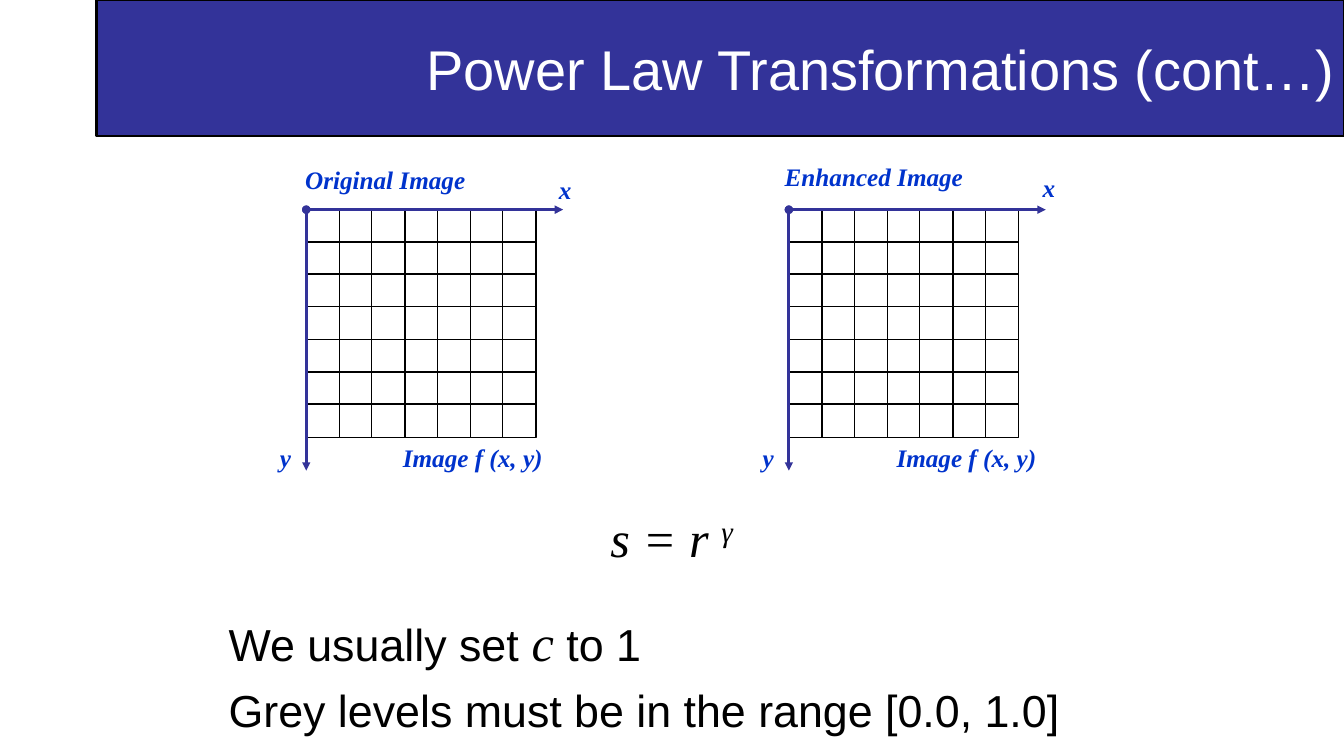
from lxml import etree
from pptx import Presentation
from pptx import util as u
from pptx.dml.color import RGBColor
from pptx.enum import shapes, text
from pptx.oxml import ns

EMU_PER_PX = 9144
SANS, SERIF = "Arial", "Times New Roman"
BLACK, WHITE, INDIGO, BLUE = "000000", "FFFFFF", "333399", "0033CC"


def px(length):
    return u.Emu(length * EMU_PER_PX)


def colour(value):
    return RGBColor.from_string(value)


class SlideBuilder:
    cells = 7
    cell_size = 33
    grid_width, grid_height = 228, 225
    axis_x, axis_y = 255, 259

    def __init__(self, deck):
        self.page = deck.slides.add_slide(deck.slide_layouts[5])

    def paint(self, shape, fill, line, weight):
        shape.fill.solid()
        shape.fill.fore_color.rgb = colour(fill)
        shape.line.color.rgb = colour(line)
        shape.line.width = u.Pt(weight)

    def span(self, para, words, size, font=SANS, ink=BLACK, bold=False, italic=False, raised=0):
        """Add one run; raised is the superscript shift in percent."""
        span = para.add_run()
        span.text = words
        span.font.size, span.font.name = u.Pt(size), font
        span.font.bold, span.font.italic = bold, italic
        span.font.color.rgb = colour(ink)
        if raised:
            span._r.get_or_add_rPr().set("baseline", str(raised * 1000))

    def title(self, words, left, top, width, height):
        box = self.page.shapes.title
        box.left, box.top, box.width, box.height = map(px, (left, top, width, height))
        self.paint(box, INDIGO, BLACK, 2)
        box.text_frame.vertical_anchor = text.MSO_ANCHOR.MIDDLE
        para = box.text_frame.paragraphs[0]
        para.alignment = text.PP_ALIGN.RIGHT
        self.span(para, words, 40, ink=WHITE)

    def text_box(self, left, top, width, height, wrap=False, parent=None):
        """Add a text box; one that does not wrap grows with its text."""
        box = (parent or self.page).shapes.add_textbox(*map(px, (left, top, width, height)))
        frame = box.text_frame
        frame.word_wrap = wrap
        if not wrap:
            frame.auto_size = text.MSO_AUTO_SIZE.SHAPE_TO_FIT_TEXT
        return frame

    def label(self, group, words, left, top, width):
        frame = self.text_box(left, top, width, 40, parent=group)
        self.span(frame.paragraphs[0], words, 18, SERIF, BLUE, bold=True, italic=True)

    def cell(self, group, left, top):
        cell = group.shapes.add_shape(
            shapes.MSO_SHAPE.RECTANGLE, *map(px, (left, top, self.cell_size, self.cell_size)))
        cell.shadow.inherit = False
        self.paint(cell, WHITE, BLACK, 1)

    def axis(self, group, left, top, right, bottom):
        axis = group.shapes.add_connector(
            shapes.MSO_CONNECTOR.STRAIGHT, *map(px, (left, top, right, bottom)))
        axis.line.color.rgb = colour(INDIGO)
        axis.line.width = u.Pt(2)
        outline = axis.line._get_or_add_ln()
        for end, kind in (("headEnd", "oval"), ("tailEnd", "triangle")):
            etree.SubElement(outline, ns.qn(f"a:{end}"), type=kind)
        etree.SubElement(axis._element.spPr, ns.qn("a:effectLst"))

    def pixel_grid(self, left, top, labels):
        """Draw a grid with its axes; labels are (words, left, top, width)."""
        group = self.page.shapes.add_group_shape()
        for row in range(self.cells):
            for column in range(self.cells):
                self.cell(group, left + round(column * self.grid_width / self.cells),
                          top + round(row * self.grid_height / self.cells))
        self.axis(group, left, top, left + self.axis_x, top)
        self.axis(group, left, top, left, top + self.axis_y)
        for label in labels:
            self.label(group, *label)


def main():
    deck = Presentation()
    deck.slide_width, deck.slide_height = px(1334), px(750)
    slide = SlideBuilder(deck)
    slide.title("Power Law Transformations (cont…)", 96, 0, 1238, 135)

    notes = slide.text_box(217, 601, 900, 149, wrap=True)
    first = notes.paragraphs[0]
    slide.span(first, "We usually set ", 32)
    slide.span(first, "c", 36, SERIF, italic=True)
    slide.span(first, " to 1", 32)
    second = notes.add_paragraph()
    second.space_before = u.Pt(8)
    slide.span(second, "Grey levels must be in the range [0.0, 1.0]", 32)

    slide.pixel_grid(304, 208, [
        ("Original Image", 293, 158, 179), ("x", 545, 168, 32),
        ("y", 268, 434, 31), ("Image f (x, y)", 390, 434, 159)])
    slide.pixel_grid(783, 208, [
        ("Enhanced Image", 769, 155, 197), ("x", 1025, 166, 32),
        ("y", 747, 434, 31), ("Image f (x, y)", 880, 434, 159)])

    formula = slide.text_box(596, 498, 144, 70).paragraphs[0]
    slide.span(formula, "s = r ", 36, SERIF, italic=True)
    slide.span(formula, "γ", 36, SERIF, italic=True, raised=30)

    deck.save("out.pptx")


if __name__ == "__main__":
    main()
